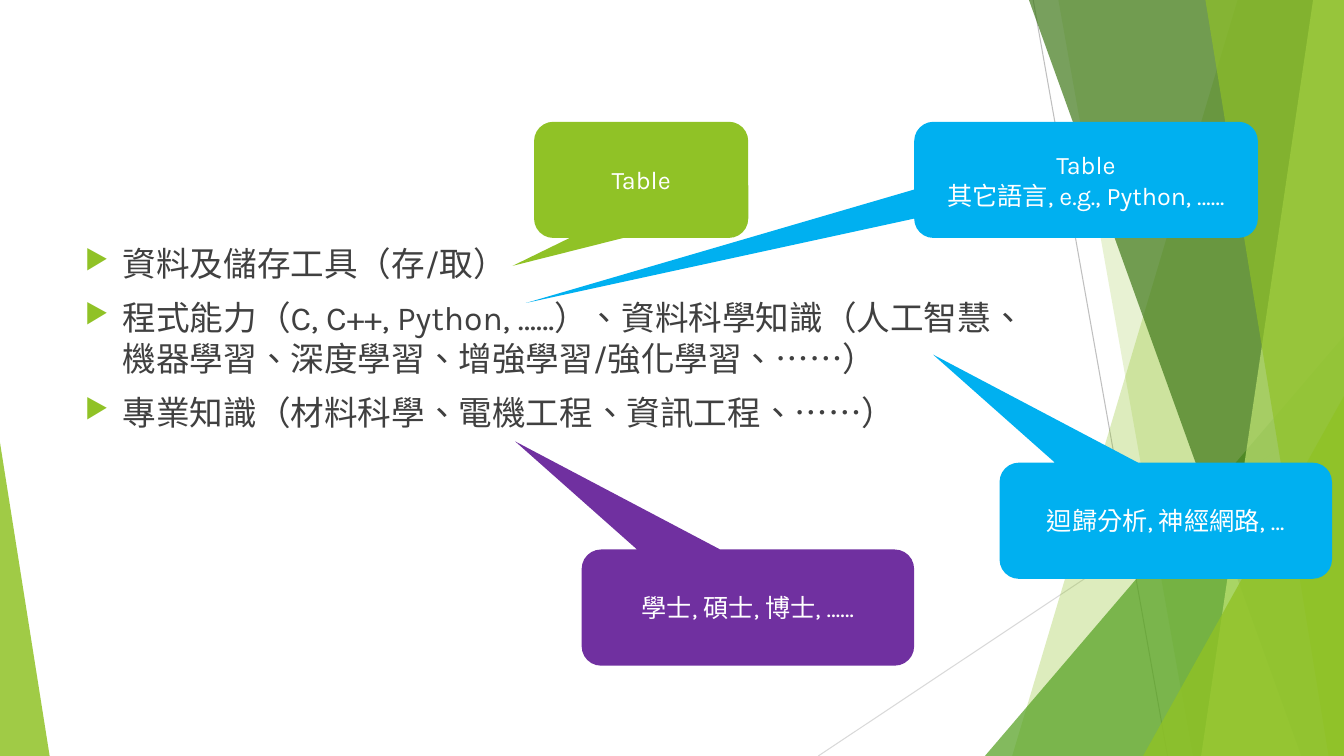
from lxml.etree import SubElement
from pptx import Presentation
from pptx.dml.color import RGBColor
from pptx.enum.lang import MSO_LANGUAGE_ID
from pptx.enum.shapes import MSO_CONNECTOR, MSO_SHAPE
from pptx.enum.text import MSO_ANCHOR, PP_ALIGN
from pptx.oxml.ns import qn
from pptx.util import Pt

WIDTH, HEIGHT = 960, 540
COLORS = {
    "lime": "90C226", "leaf": "54A021", "forest": "3F7819", "pale": "C0E474",
    "blue": "00B0F0", "purple": "7030A0", "text": "404040", "white": "FFFFFF",
    "gray": "BFBFBF", "silver": "D9D9D9",
}


class Painter:
    font = "Karla"

    def __init__(self, slide):
        self.shapes = slide.shapes

    def color(self, name):
        return RGBColor.from_string(COLORS[name])

    def paint(self, shape, color, alpha=100):
        shape.shadow.inherit = False
        shape.line.fill.background()
        shape.fill.solid()
        shape.fill.fore_color.rgb = self.color(color)
        if alpha < 100:
            solid = shape._element.spPr.find(qn("a:solidFill"))
            SubElement(solid[0], qn("a:alpha"), val=str(alpha * 1000))

    def line(self, start, end, color):
        line = self.shapes.add_connector(
            MSO_CONNECTOR.STRAIGHT, *map(Pt, start + end))
        line.line.color.rgb = self.color(color)
        line.line.width = Pt(0.75)
        SubElement(line._element.spPr, qn("a:effectLst"))

    def band(self, top, base, color, alpha):
        draft = self.shapes.build_freeform(Pt(top), 0)
        draft.add_line_segments([
            (Pt(WIDTH), 0), (Pt(WIDTH), Pt(HEIGHT)), (Pt(base), Pt(HEIGHT))])
        self.paint(draft.convert_to_shape(), color, alpha)

    def wedge(self, left, top, width, apex, color, alpha):
        wedge = self.shapes.add_shape(
            MSO_SHAPE.ISOSCELES_TRIANGLE,
            *map(Pt, (left, top, width, HEIGHT - top)))
        wedge.adjustments[0] = apex
        self.paint(wedge, color, alpha)

    def label(self, frame, text, size, color, align):
        frame.word_wrap = True
        frame.text = text
        for para in frame.paragraphs:
            para.alignment = align
            for run in para.runs:
                run.font.name = self.font
                run.font.size = Pt(size)
                run.font.color.rgb = self.color(color)
                run.font.language_id = MSO_LANGUAGE_ID.TRADITIONAL_CHINESE

    def bullets(self, box, items):
        frame = self.shapes.add_textbox(*map(Pt, box)).text_frame
        self.label(frame, "\n".join(items), 24, "text", PP_ALIGN.LEFT)
        for para in frame.paragraphs:
            para.space_before = Pt(10)
            props = para._p.get_or_add_pPr()
            props.set("marL", str(Pt(27)))
            props.set("indent", str(Pt(-27)))
            tint = SubElement(props, qn("a:buClr"))
            SubElement(tint, qn("a:srgbClr"), val=COLORS["lime"])
            SubElement(props, qn("a:buSzPct"), val="80000")
            SubElement(props, qn("a:buChar"), char="▶")

    def callout(self, left, top, width, tip, color, text):
        shape = self.shapes.add_shape(
            MSO_SHAPE.ROUNDED_RECTANGULAR_CALLOUT,
            *map(Pt, (left, top, width, 83)))
        shape.adjustments[0], shape.adjustments[1] = tip
        self.paint(shape, color)
        shape.text_frame.vertical_anchor = MSO_ANCHOR.MIDDLE
        self.label(shape.text_frame, text, 18, "white", PP_ALIGN.CENTER)


def main():
    deck = Presentation()
    deck.slide_width, deck.slide_height = Pt(WIDTH), Pt(HEIGHT)
    pen = Painter(deck.slides.add_slide(deck.slide_layouts[6]))

    pen.line((738, 0), (834, HEIGHT), "gray")
    pen.line((WIDTH, 290), (584.5, HEIGHT), "silver")
    pen.band(884, 723, "lime", 30)
    pen.band(756, 852, "lime", 20)
    pen.wedge(703.5, 240, 256.5, 1, "leaf", 72)
    pen.band(735, 929.5, "forest", 70)
    pen.band(938, 858, "pale", 70)
    pen.band(861, 949, "lime", 65)
    pen.wedge(816.5, 283, 143.5, 1, "lime", 80)
    pen.wedge(0, 316, 35.5, 0, "lime", 85)

    pen.bullets((53.5, 170, 676.5, 305), [
        "資料及儲存工具（存/取）",
        "程式能力（C, C++, Python, ……）、資料科學知識（人工智慧、"
        "機器學習、深度學習、增強學習/強化學習、……）",
        "專業知識（材料科學、電機工程、資訊工程、……）",
    ])
    pen.callout(381.5, 87, 153, (-0.6, 0.74), "lime", "Table")
    pen.callout(653, 87, 245.5, (-1.63, 1.06), "blue",
                "Table\n其它語言, e.g., Python, ……")
    low = (-0.7, -1.43)
    pen.callout(714, 330.5, 237.5, low, "blue", "迴歸分析, 神經網路, …")
    pen.callout(415.5, 392.5, 237.5, low, "purple", "學士, 碩士, 博士, ……")
    deck.save("out.pptx")


if __name__ == "__main__":
    main()
